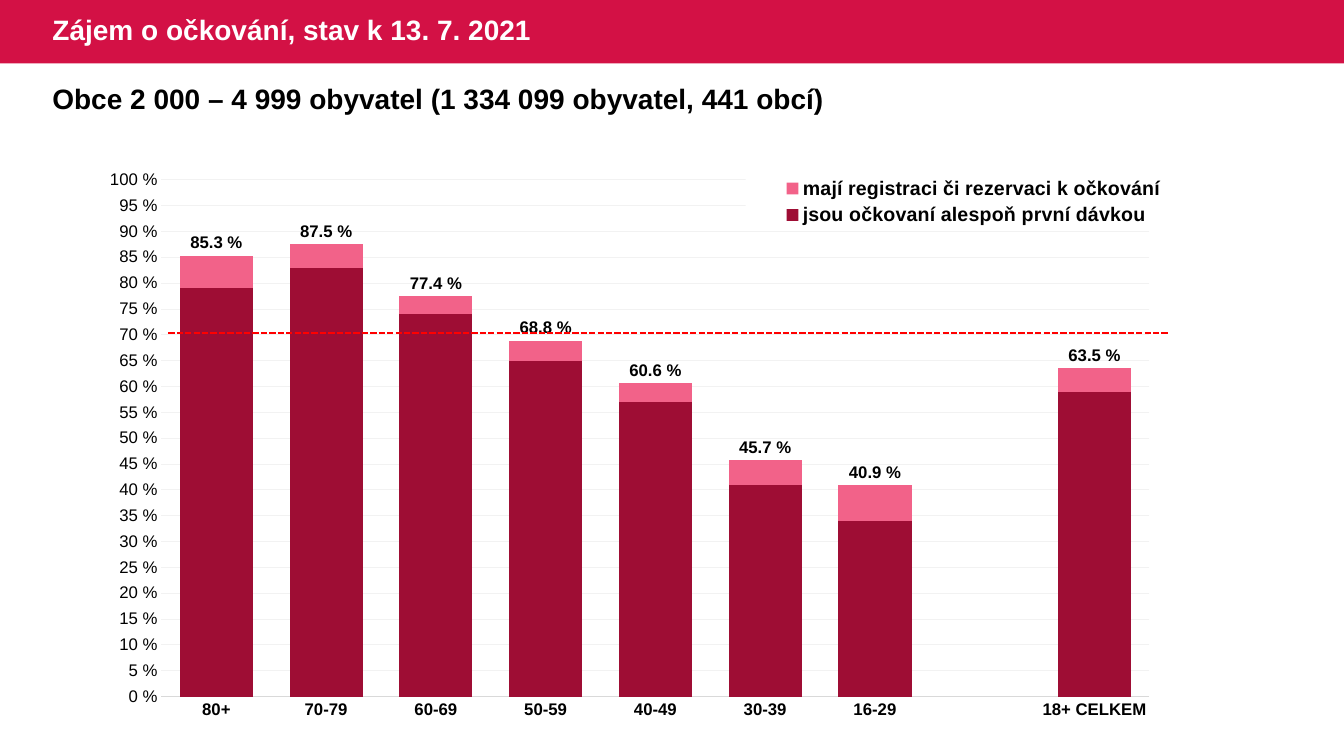
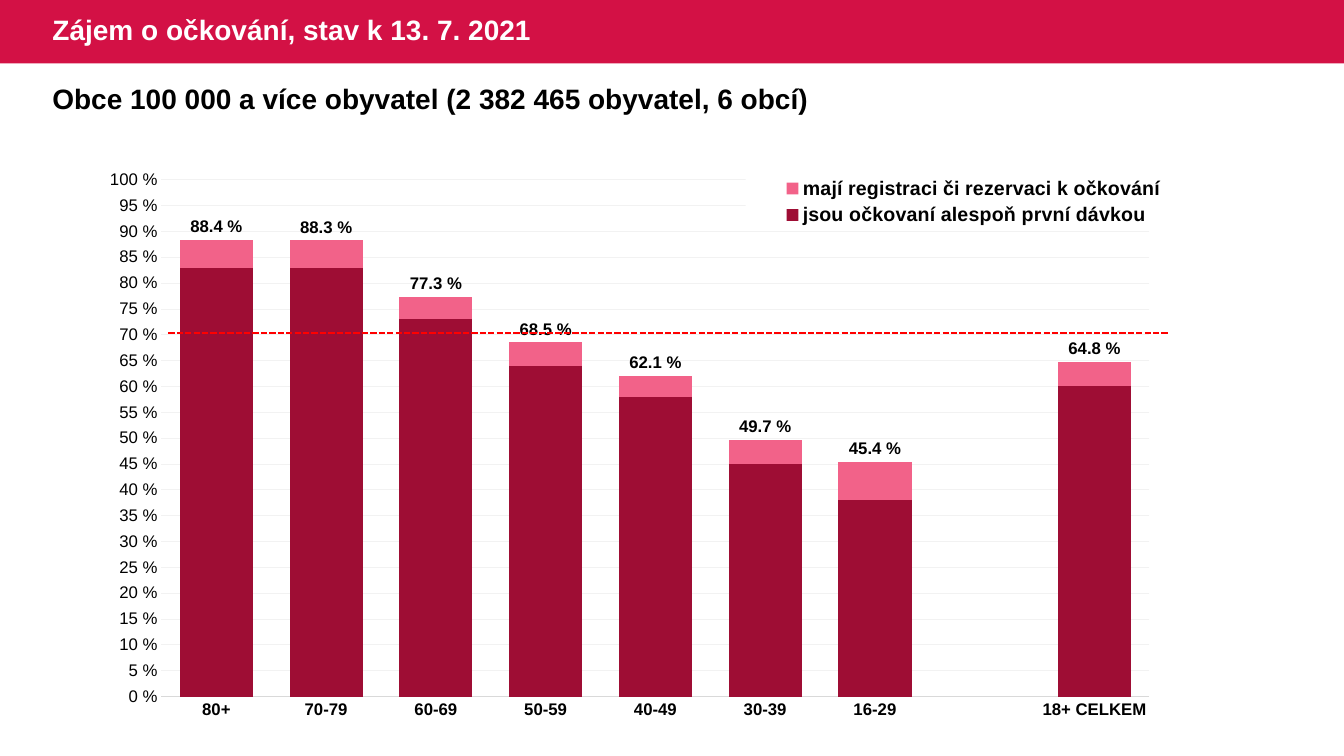
from lxml import etree
from pptx import Presentation
from pptx.chart.data import CategoryChartData
from pptx.dml.color import RGBColor
from pptx.enum import chart as ch, dml, shapes, text
from pptx.oxml import parse_xml
from pptx.oxml.ns import nsdecls, qn
from pptx.util import Inches, Pt

TITLE = "Zájem o očkování, stav k 13. 7. 2021"
AGE_GROUPS = ["80+", "70-79", "60-69", "50-59", "40-49", "30-39", "16-29", "", "18+ CELKEM"]
REGISTERED = "mají registraci či rezervaci k očkování"
VACCINATED = "jsou očkovaní alespoň první dávkou"
MUNICIPALITIES = [
    {
        "heading": "Obce 2 000 – 4 999 obyvatel (1 334 099 obyvatel, 441 obcí)",
        REGISTERED: [85.3, 87.5, 77.4, 68.8, 60.6, 45.7, 40.9, None, 63.5],
        VACCINATED: [79, 83, 74, 65, 57, 41, 34, None, 59],
    },
    {
        "heading": "Obce 100 000 a více obyvatel (2 382 465 obyvatel, 6 obcí)",
        REGISTERED: [88.4, 88.3, 77.3, 68.5, 62.1, 49.7, 45.4, None, 64.8],
        VACCINATED: [83, 83, 73, 64, 58, 45, 38, None, 60],
    },
]

FONT = "Arial"
BLACK = RGBColor(0x00, 0x00, 0x00)
WHITE = RGBColor(0xFF, 0xFF, 0xFF)
CRIMSON = RGBColor(0xD3, 0x11, 0x45)
RED = RGBColor(0xFF, 0x00, 0x00)
AXIS_GREY = RGBColor(0xD9, 0xD9, 0xD9)
GRID_GREY = RGBColor(0xF2, 0xF2, 0xF2)
SERIES_COLORS = {REGISTERED: RGBColor(0xF2, 0x62, 0x89), VACCINATED: RGBColor(0x9E, 0x0D, 0x34)}

SLIDE_WIDTH = Inches(13.33)
BAND_HEIGHT = Inches(0.63)
MARGIN = Inches(0.42)
TARGET_Y = Inches(3.3)


def style_font(font, size, bold=False, color=BLACK):
    font.name = FONT
    font.size = Pt(size)
    font.bold = bold
    font.color.rgb = color


def set_layout(parent, index, x, y, w, h, inner=False):
    """Place a plot area or legend by fractions of the chart's size."""
    for old in parent.findall(qn("c:layout")):
        parent.remove(old)
    target = '<c:layoutTarget val="inner"/>' if inner else ""
    parent.insert(index, parse_xml(
        f'<c:layout {nsdecls("c")}><c:manualLayout>{target}'
        '<c:xMode val="edge"/><c:yMode val="edge"/>'
        f'<c:x val="{x}"/><c:y val="{y}"/><c:w val="{w}"/><c:h val="{h}"/>'
        '</c:manualLayout></c:layout>'))


def move_to_master(shape, master):
    """Put the shape behind everything else on the master."""
    shape.element.nvSpPr.cNvPr.set("id", "20")
    master.element.cSld.spTree.insert(2, shape.element)


def add_band(slide, master):
    band = slide.shapes.add_shape(shapes.MSO_SHAPE.RECTANGLE, 0, 0, SLIDE_WIDTH, BAND_HEIGHT)
    band.shadow.inherit = False
    band.fill.solid()
    band.fill.fore_color.rgb = CRIMSON
    band.line.fill.background()
    move_to_master(band, master)


def add_title(slide):
    title = slide.shapes.title
    title.left, title.top, title.width, title.height = MARGIN, 0, Inches(5.9), BAND_HEIGHT
    title.text_frame.text = TITLE
    title.text_frame.vertical_anchor = text.MSO_ANCHOR.MIDDLE
    line = title.text_frame.paragraphs[0]
    line.alignment = text.PP_ALIGN.LEFT
    line.line_spacing = 0.9
    style_font(line.runs[0].font, 20, True, WHITE)


def add_heading(slide, heading):
    box = slide.shapes.add_textbox(MARGIN, Inches(0.76), Inches(12.39), Inches(0.44))
    box.text_frame.word_wrap = True
    box.text_frame.text = heading
    style_font(box.text_frame.paragraphs[0].runs[0].font, 20, True)


def style_axes(chart):
    ages, share = chart.category_axis, chart.value_axis
    for axis, bold in ((ages, True), (share, False)):
        axis.major_tick_mark = axis.minor_tick_mark = ch.XL_TICK_MARK.NONE
        style_font(axis.tick_labels.font, 12, bold)
    ages.format.line.color.rgb = AXIS_GREY
    ages.format.line.width = Pt(0.75)
    share.minimum_scale, share.maximum_scale, share.major_unit = 0, 100, 5
    share.tick_labels.number_format = '0" %"'
    share.tick_labels.number_format_is_linked = False
    share.format.line.fill.background()
    share.has_major_gridlines = True
    share.major_gridlines.format.line.color.rgb = GRID_GREY
    share.major_gridlines.format.line.width = Pt(0.5)


def style_legend(chart):
    chart.has_legend = True
    legend = chart.legend
    legend.position = ch.XL_LEGEND_POSITION.TOP
    legend.include_in_layout = False
    style_font(legend.font, 14, True)
    element = chart.element.find(".//" + qn("c:legend"))
    set_layout(element, 1, 0.57, 0.02, 0.41, 0.1)
    background = etree.Element(qn("c:spPr"))
    fill = etree.SubElement(background, qn("a:solidFill"))
    etree.SubElement(fill, qn("a:srgbClr"), val=str(WHITE))
    element.find(qn("c:txPr")).addprevious(background)


def add_interest_chart(slide, group):
    data = CategoryChartData()
    data.categories = AGE_GROUPS
    for name in SERIES_COLORS:
        data.add_series(name, group[name])
    chart = slide.shapes.add_chart(
        ch.XL_CHART_TYPE.COLUMN_CLUSTERED,
        Inches(1.09), Inches(1.6), Inches(11.05), Inches(5.73), data).chart
    chart.has_title = False
    style_font(chart.font, 10)

    plot = chart.plots[0]
    plot.vary_by_categories = False
    plot.gap_width, plot.overlap = 50, 100
    for series in plot.series:
        series.format.fill.solid()
        series.format.fill.fore_color.rgb = SERIES_COLORS[series.name]
    labels = plot.series[0].data_labels
    labels.show_value = True
    labels.position = ch.XL_LABEL_POSITION.OUTSIDE_END
    labels.number_format = '0.0" %"'
    labels.number_format_is_linked = False
    style_font(labels.font, 12, True)

    style_axes(chart)
    style_legend(chart)
    plot_area = chart.element.find(".//" + qn("c:plotArea"))
    set_layout(plot_area, 0, 0.045, 0.032, 0.888, 0.895, inner=True)


def add_target_line(slide):
    target = slide.shapes.add_connector(
        shapes.MSO_CONNECTOR.STRAIGHT, Inches(1.67), TARGET_Y, Inches(11.59), TARGET_Y)
    target.line.color.rgb = RED
    target.line.width = Pt(1.5)
    target.line.dash_style = dml.MSO_LINE.SQUARE_DOT
    etree.SubElement(target.element.spPr, qn("a:effectLst"))


def main():
    deck = Presentation()
    deck.slide_width, deck.slide_height = SLIDE_WIDTH, Inches(7.5)
    title_only = deck.slide_layouts[5]
    for number, group in enumerate(MUNICIPALITIES):
        slide = deck.slides.add_slide(title_only)
        if number == 0:
            add_band(slide, deck.slide_master)
        add_title(slide)
        add_heading(slide, group["heading"])
        add_interest_chart(slide, group)
        add_target_line(slide)
    deck.save("out.pptx")


if __name__ == "__main__":
    main()
